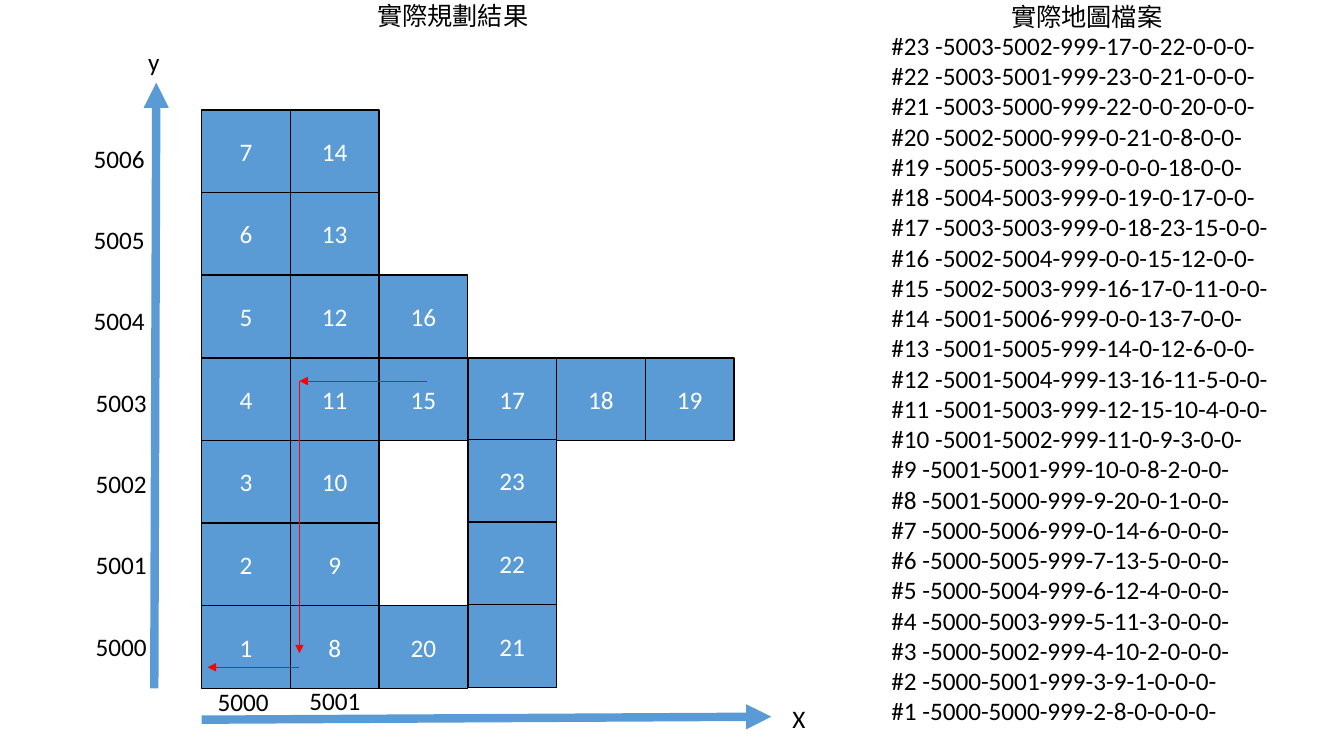
from dataclasses import dataclass

from lxml import etree
from pptx import Presentation
from pptx import util as u
from pptx.dml.color import RGBColor
from pptx.enum import shapes, text
from pptx.oxml.ns import qn


@dataclass(frozen=True)
class Theme:
    """Colours and type of the slide."""
    font: str = "Calibri"
    size: int = 18
    blue: RGBColor = RGBColor(0x5B, 0x9B, 0xD5)
    black: RGBColor = RGBColor(0, 0, 0)
    white: RGBColor = RGBColor(255, 255, 255)
    red: RGBColor = RGBColor(255, 0, 0)


theme = Theme()

RECORDS = """#23 -5003-5002-999-17-0-22-0-0-0-
#22 -5003-5001-999-23-0-21-0-0-0-
#21 -5003-5000-999-22-0-0-20-0-0-
#20 -5002-5000-999-0-21-0-8-0-0-
#19 -5005-5003-999-0-0-0-18-0-0-
#18 -5004-5003-999-0-19-0-17-0-0-
#17 -5003-5003-999-0-18-23-15-0-0-
#16 -5002-5004-999-0-0-15-12-0-0-
#15 -5002-5003-999-16-17-0-11-0-0-
#14 -5001-5006-999-0-0-13-7-0-0-
#13 -5001-5005-999-14-0-12-6-0-0-
#12 -5001-5004-999-13-16-11-5-0-0-
#11 -5001-5003-999-12-15-10-4-0-0-
#10 -5001-5002-999-11-0-9-3-0-0-
#9 -5001-5001-999-10-0-8-2-0-0-
#8 -5001-5000-999-9-20-0-1-0-0-
#7 -5000-5006-999-0-14-6-0-0-0-
#6 -5000-5005-999-7-13-5-0-0-0-
#5 -5000-5004-999-6-12-4-0-0-0-
#4 -5000-5003-999-5-11-3-0-0-0-
#3 -5000-5002-999-4-10-2-0-0-0-
#2 -5000-5001-999-3-9-1-0-0-0-
#1 -5000-5000-999-2-8-0-0-0-0-""".split("\n")

ORIGIN = 5000
GRID_LEFT, GRID_BOTTOM = 2, 6.83
CELL_WIDTH, CELL_HEIGHT = 0.88, 0.82
LABEL_WIDTH, LABEL_HEIGHT = 0.71, 0.4


def write_lines(shape, lines, color=theme.black, align=text.PP_ALIGN.LEFT):
    """Fill a shape with one paragraph per line in the theme's type."""
    frame = shape.text_frame
    frame.text = "\n".join(lines)
    for para in frame.paragraphs:
        para.alignment = align
        para.space_before = u.Pt(0)
        para.font.name = theme.font
        para.font.size = u.Pt(theme.size)
        para.font.color.rgb = color
    return frame


def place(shape, left, top, width, height):
    """Move and size a placeholder, in inches, with unwrapped text at the top."""
    shape.left, shape.top = u.Inches(left), u.Inches(top)
    shape.width, shape.height = u.Inches(width), u.Inches(height)
    frame = shape.text_frame
    frame.word_wrap = False
    frame.auto_size = text.MSO_AUTO_SIZE.SHAPE_TO_FIT_TEXT
    frame.vertical_anchor = text.MSO_ANCHOR.TOP


deck = Presentation()
deck.slide_width, deck.slide_height = u.Inches(13.33), u.Inches(7.5)
page = deck.slides.add_slide(deck.slide_layouts.get_by_name("Title and Content"))

# Heading of the plan and the list of map records
heading, record_list = page.placeholders
write_lines(heading, ["實際規劃結果"])
place(heading, 3.64, -0.05, 1.72, LABEL_HEIGHT)
record_frame = write_lines(record_list, RECORDS)
place(record_list, 8.74, 0.25, 4.1, 7.07)
for para in record_frame.paragraphs:
    properties = para._p.get_or_add_pPr()
    properties.set("marL", "0")
    properties.set("indent", "0")
    etree.SubElement(properties, qn("a:buNone"))

# Each record starts with "#number -x-y-", which gives the cell its place
for record in reversed(RECORDS):
    number, x, y = record.lstrip("#").split("-")[:3]
    column, row = int(x) - ORIGIN, int(y) - ORIGIN
    lift = 0.01 if int(number) > 20 else 0
    cell = page.shapes.add_shape(
        shapes.MSO_SHAPE.RECTANGLE,
        u.Inches(GRID_LEFT + column * CELL_WIDTH),
        u.Inches(GRID_BOTTOM - (row + 1) * CELL_HEIGHT - lift),
        u.Inches(CELL_WIDTH), u.Inches(CELL_HEIGHT))
    cell.shadow.inherit = False
    cell.fill.solid()
    cell.fill.fore_color.rgb = theme.blue
    cell.line.color.rgb = theme.black
    cell.line.width = u.Pt(1)
    frame = write_lines(cell, [number.strip()], theme.white, text.PP_ALIGN.CENTER)
    frame.vertical_anchor = text.MSO_ANCHOR.MIDDLE

# Axis names, coordinates and the heading of the records
labels = [
    ("X", 7.76, 6.93, 0.33),
    ("y", 1.37, 0.41, 0.32),
    ("5000", 2.06, 6.76, LABEL_WIDTH),
    ("5001", 2.97, 6.75, LABEL_WIDTH),
    ("實際地圖檔案", 9.93, -0.04, 1.72),
]
for row in range(7):
    left = 0.85 if row < 4 else 0.83
    labels.append((str(ORIGIN + row), left, 6.21 - row * 4.84 / 6, LABEL_WIDTH))
for label, left, top, width in labels:
    box = page.shapes.add_textbox(
        u.Inches(left), u.Inches(top), u.Inches(width), u.Inches(LABEL_HEIGHT))
    write_lines(box, [label])
    box.text_frame.word_wrap = False
    box.text_frame.auto_size = text.MSO_AUTO_SIZE.SHAPE_TO_FIT_TEXT

# Two axes, then the route from cell 15 to cell 1
arrows = [
    (2, 7.14, 7.65, 7.11, theme.blue, 6),
    (1.53, 6.83, 1.55, 0.82, theme.blue, 6),
    (4.24, 3.78, 2.97, 3.78, theme.red, 0.5),
    (2.97, 3.78, 2.97, 6.48, theme.red, 0.5),
    (2.97, 6.62, 2.06, 6.62, theme.red, 0.5),
]
for *ends, color, weight in arrows:
    arrow = page.shapes.add_connector(
        shapes.MSO_CONNECTOR.STRAIGHT, *[u.Inches(end) for end in ends])
    arrow.line.color.rgb = color
    arrow.line.width = u.Pt(weight)
    etree.SubElement(arrow.line._get_or_add_ln(), qn("a:tailEnd"), type="triangle")
    etree.SubElement(arrow._element.spPr, qn("a:effectLst"))

deck.save("out.pptx")
